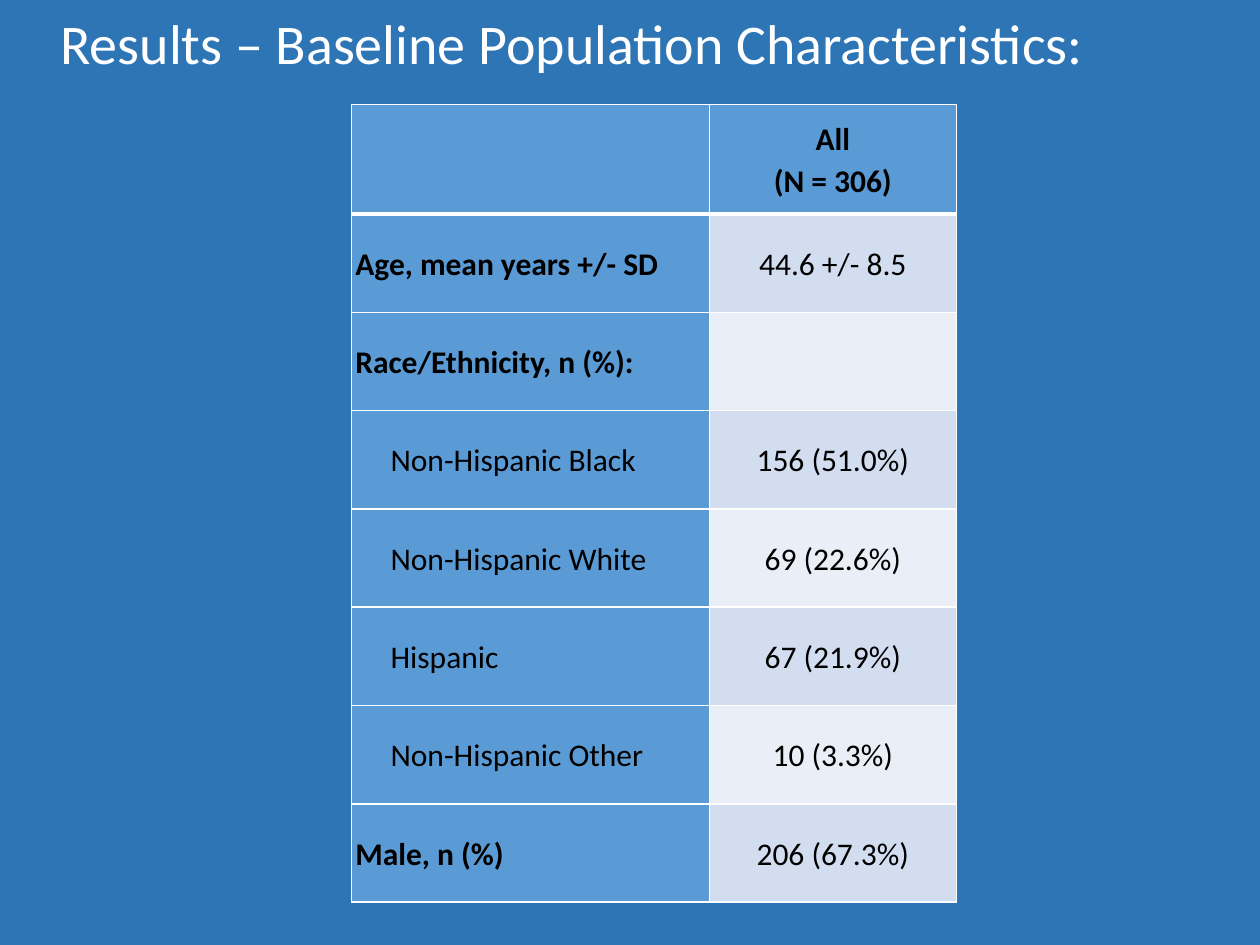
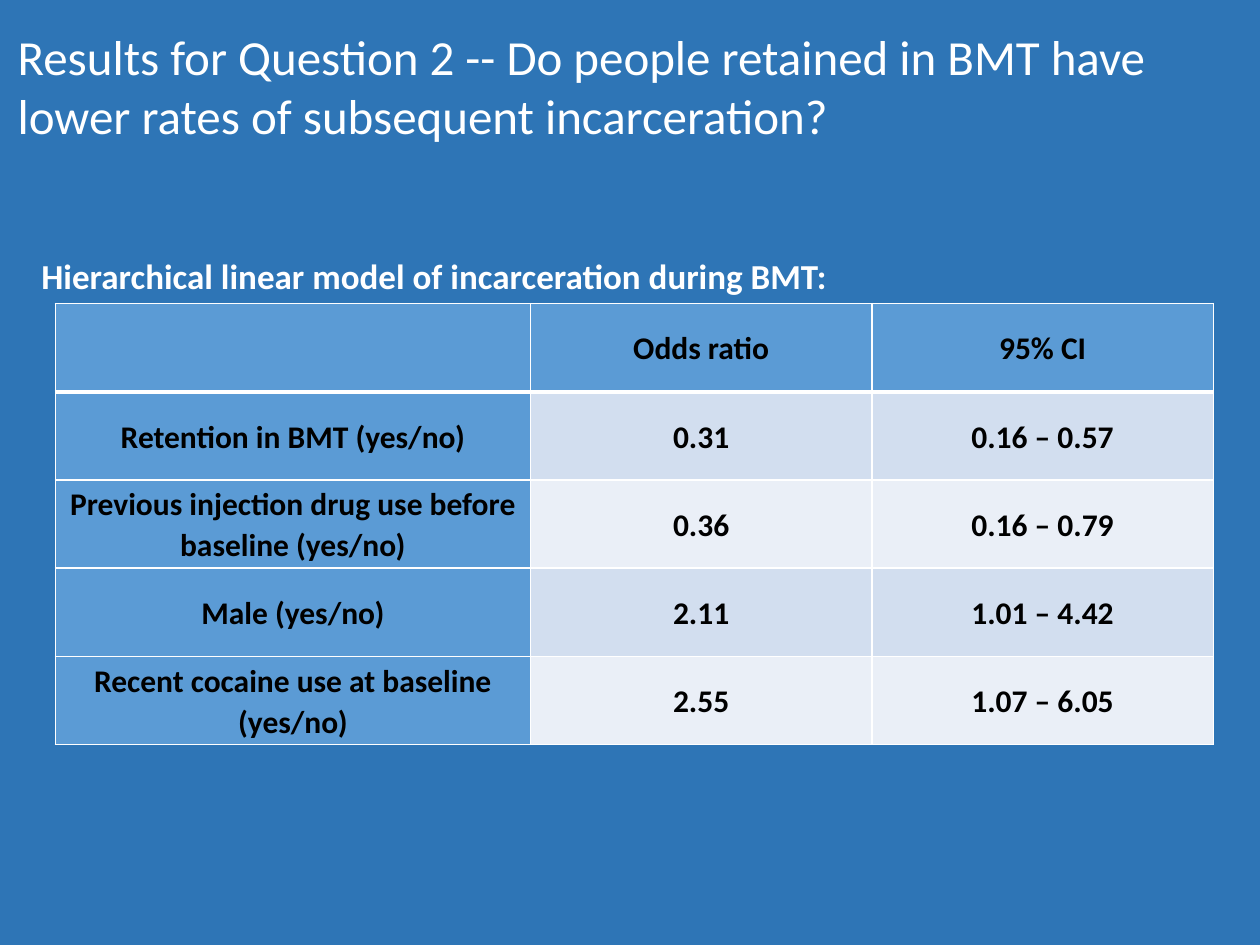
"""Build two result slides, each with a title and a banded table."""
from dataclasses import dataclass

from lxml import etree
from pptx import Presentation
from pptx.dml.color import RGBColor
from pptx.enum.text import MSO_ANCHOR, MSO_AUTO_SIZE, PP_ALIGN
from pptx.oxml.ns import qn
from pptx.slide import Slide
from pptx.table import _Cell
from pptx.text.text import TextFrame
from pptx.util import Inches, Pt

LEFT, CENTER = PP_ALIGN.LEFT, PP_ALIGN.CENTER
TOP, MIDDLE = MSO_ANCHOR.TOP, MSO_ANCHOR.MIDDLE
NO_FIT = MSO_AUTO_SIZE.NONE
FONT = "Calibri"
TITLE_ONLY = 5
INDENT = 0.28
COLORS = {
    "back": "2E75B6",
    "head": "5B9BD5",
    "odd": "D2DEEF",
    "even": "EAEFF7",
    "white": "FFFFFF",
    "black": "000000",
}


@dataclass
class Label:
    """A line of white text with its place and size."""
    text: str
    box: tuple[float, float, float, float]
    size: int
    bold: bool = False


@dataclass
class Grid:
    """A table with its place, sizes and text rules."""
    left: float
    top: float
    cols: list[float]
    heights: list[float]
    rows: list[list[str]]
    pad: float
    align: PP_ALIGN
    bold: bool
    nested: tuple[int, ...] = ()


def color(name: str) -> RGBColor:
    """Return a named colour."""
    return RGBColor.from_string(COLORS[name])


def style(frame: TextFrame, size: int, tint: str, bold: bool, align: PP_ALIGN) -> None:
    """Format every run in a text frame."""
    for para in frame.paragraphs:
        para.alignment = align
        for run in para.runs:
            font = run.font
            font.name, font.size, font.bold = FONT, Pt(size), bold
            font.color.rgb = color(tint)


def write(shape, label: Label) -> None:
    """Place a label in a title or text box."""
    shape.left, shape.top, shape.width, shape.height = map(Inches, label.box)
    frame = shape.text_frame
    frame.text = label.text
    frame.word_wrap = True
    frame.auto_size = NO_FIT
    frame.vertical_anchor = TOP
    style(frame, label.size, "white", label.bold, LEFT)


def edge(cell: _Cell, side: str, width: float) -> None:
    """Draw one white border of a cell."""
    line = etree.SubElement(cell._tc.get_or_add_tcPr(), qn(f"a:ln{side}"), w=str(Pt(width)))
    fill = etree.SubElement(line, qn("a:solidFill"))
    etree.SubElement(fill, qn("a:srgbClr"), val=COLORS["white"])


def draw(slide: Slide, grid: Grid) -> None:
    """Draw a table with a header row, a label column and bands."""
    size = len(grid.rows), len(grid.cols)
    box = grid.left, grid.top, sum(grid.cols), sum(grid.heights)
    table = slide.shapes.add_table(*size, *map(Inches, box)).table
    for col, width in zip(table.columns, grid.cols):
        col.width = Inches(width)
    for row, height in zip(table.rows, grid.heights):
        row.height = Inches(height)
    for r, texts in enumerate(grid.rows):
        for c, text in enumerate(texts):
            cell = table.cell(r, c)
            for side in "LRTB":
                thick = (r, side) in ((0, "B"), (1, "T"))
                edge(cell, side, 3 if thick else 1)
            band = "odd" if r % 2 else "even"
            cell.fill.solid()
            cell.fill.fore_color.rgb = color("head" if r == 0 or c == 0 else band)
            inner = c == 0 and r in grid.nested
            cell.margin_left = Inches(grid.pad + (INDENT if inner else 0))
            cell.margin_right = Inches(grid.pad)
            cell.margin_top = cell.margin_bottom = 0
            cell.vertical_anchor = MIDDLE
            cell.text_frame.text = text
            bold = grid.bold or r == 0 or (c == 0 and not inner)
            style(cell.text_frame, 18, "black", bold, CENTER if c else grid.align)
            for para in cell.text_frame.paragraphs:
                para.line_spacing = 1.07


PEOPLE = Grid(
    2.79, 0.83, [2.84, 1.96], [0.87] + [0.78] * 7,
    [
        ["", "All\n(N = 306)"],
        ["Age, mean years +/- SD", "44.6 +/- 8.5"],
        ["Race/Ethnicity, n (%):", ""],
        ["Non-Hispanic Black", "156 (51.0%)"],
        ["Non-Hispanic White", "69 (22.6%)"],
        ["Hispanic", "67 (21.9%)"],
        ["Non-Hispanic Other", "10 (3.3%)"],
        ["Male, n (%)", "206 (67.3%)"],
    ],
    0.03, LEFT, False, (3, 4, 5, 6),
)
ODDS = Grid(
    0.44, 2.41, [3.77, 2.71, 2.71], [0.7] * 5,
    [
        ["", "Odds ratio", "95% CI"],
        ["Retention in BMT (yes/no)", "0.31", "0.16 – 0.57"],
        ["Previous injection drug use before baseline (yes/no)", "0.36", "0.16 – 0.79"],
        ["Male (yes/no)", "2.11", "1.01 – 4.42"],
        ["Recent cocaine use at baseline (yes/no)", "2.55", "1.07 – 6.05"],
    ],
    0.08, CENTER, True,
)
PAGES = [
    (Label("Results – Baseline Population Characteristics:",
           (0.38, 0.02, 9.62, 0.64), 32), PEOPLE, []),
    (Label("Results for Question 2 -- Do people retained in BMT have "
           "lower rates of subsequent incarceration?",
           (0.04, 0.16, 9.96, 1.04), 28), ODDS,
     [Label("Hierarchical linear model of incarceration during BMT:",
            (0.23, 1.97, 7.1, 0.44), 20, True)]),
]


def main() -> None:
    """Build and save the slides."""
    deck = Presentation()
    deck.slide_width, deck.slide_height = Inches(10), Inches(7.5)
    back = deck.slide_master.background.fill
    back.solid()
    back.fore_color.rgb = color("back")
    for title, grid, notes in PAGES:
        slide = deck.slides.add_slide(deck.slide_layouts[TITLE_ONLY])
        write(slide.shapes.title, title)
        draw(slide, grid)
        for note in notes:
            write(slide.shapes.add_textbox(*map(Inches, note.box)), note)
    deck.save("out.pptx")


if __name__ == "__main__":
    main()
